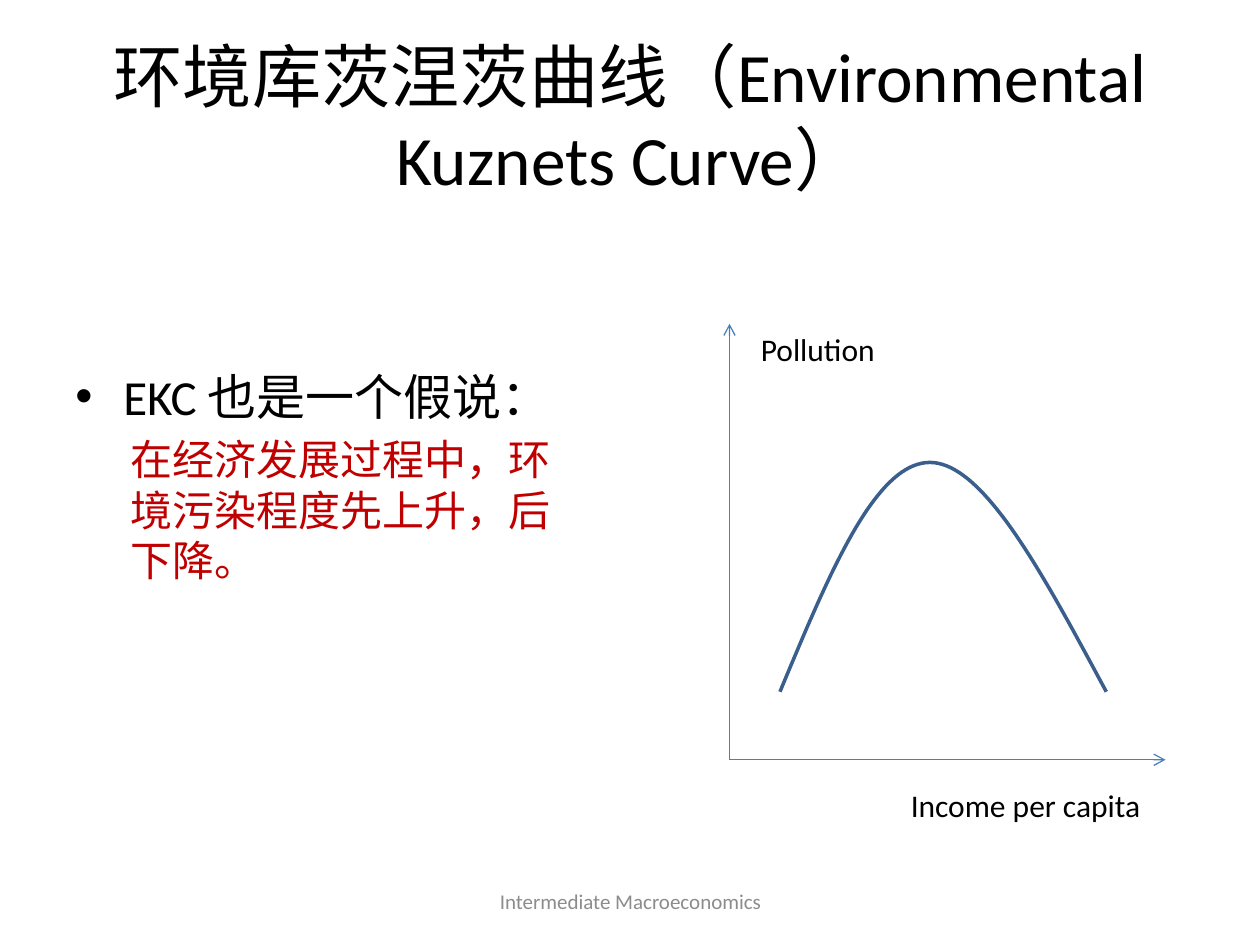
from dataclasses import dataclass

from lxml.etree import SubElement
from pptx import Presentation
from pptx.dml.color import RGBColor
from pptx.enum.shapes import MSO_CONNECTOR
from pptx.enum.text import MSO_ANCHOR, PP_ALIGN
from pptx.oxml.ns import qn
from pptx.util import Inches, Pt


@dataclass(frozen=True)
class Theme:
    font: str = "Calibri"
    ink: str = "000000"
    emphasis: str = "C00000"
    muted: str = "8C8C8C"
    axis: str = "4B7EBC"
    curve: str = "3A5F8C"
    title_size: float = 39.6
    lead_size: int = 28
    detail_size: int = 24
    label_size: int = 18
    footer_size: int = 12


theme = Theme()
presentation = Presentation()
presentation.slide_width = Inches(10)
presentation.slide_height = Inches(7.5)
slide = presentation.slides.add_slide(presentation.slide_layouts[6])
column = presentation.slide_width // 100
row = presentation.slide_height // 75


def write_text(text, *, frame, size, color=theme.ink, align=PP_ALIGN.LEFT, margin=0, indent=0, bullet=None, before=0):
    paragraph = frame.paragraphs[0]
    if paragraph.runs:
        paragraph = frame.add_paragraph()
    paragraph.alignment = align
    paragraph.space_before = Pt(before)
    run = paragraph.add_run()
    run.text = text
    run.font.name = theme.font
    run.font.size = Pt(size)
    run.font.color.rgb = RGBColor.from_string(color)
    properties = paragraph._p.get_or_add_pPr()
    properties.set("marL", str(int(margin * column)))
    properties.set("indent", str(int(indent * column)))
    if bullet:
        SubElement(properties, qn("a:buFont")).set("typeface", "Arial")
        SubElement(properties, qn("a:buChar")).set("char", bullet)


def add_frame(left, top, width, height, anchor=MSO_ANCHOR.TOP):
    box = slide.shapes.add_textbox(
        int(left * column), int(top * row), int(width * column), int(height * row)
    )
    box.text_frame.word_wrap = True
    box.text_frame.vertical_anchor = anchor
    return box.text_frame


title = add_frame(5, 3, 90, 12.5, MSO_ANCHOR.MIDDLE)
write_text("环境库茨涅茨曲线（Environmental Kuznets Curve）", frame=title, size=theme.title_size, align=PP_ALIGN.CENTER)

body = add_frame(5, 28.6, 41.1, 38.4)
write_text("EKC 也是一个假说：", frame=body, size=theme.lead_size, margin=3.8, indent=-3.8, bullet="•")
write_text(
    "在经济发展过程中，环境污染程度先上升，后下降。",
    frame=body, size=theme.detail_size, color=theme.emphasis, margin=4.4, before=theme.detail_size * 0.2,
)

footer = add_frame(34.2, 69.5, 31.7, 4, MSO_ANCHOR.MIDDLE)
write_text("Intermediate Macroeconomics", frame=footer, size=theme.footer_size, color=theme.muted, align=PP_ALIGN.CENTER)

origin_x, origin_y, axis_length = 57.9, 60.3, 34.6
for end_x, end_y in ((origin_x + axis_length, origin_y), (origin_x, origin_y - axis_length)):
    axis = slide.shapes.add_connector(
        MSO_CONNECTOR.STRAIGHT,
        int(origin_x * column), int(origin_y * row), int(end_x * column), int(end_y * row),
    )
    axis.line.color.rgb = RGBColor.from_string(theme.axis)
    axis.line.width = Pt(0.75)
    SubElement(axis.line._get_or_add_ln(), qn("a:tailEnd")).set("type", "arrow")
    SubElement(axis._element.spPr, qn("a:effectLst"))

curve_segments = (
    ((61.9, 54.9), (65.7, 45.8), (69.4, 36.7), (73.8, 36.7)),
    ((73.8, 36.7), (78.1, 36.7), (82.9, 45.8), (87.8, 54.9)),
)
steps = 40
curve_points = []
for segment in curve_segments:
    for step in range(1, steps + 1):
        t = step / steps
        weights = ((1 - t) ** 3, 3 * t * (1 - t) ** 2, 3 * t**2 * (1 - t), t**3)
        x, y = (sum(weight * value for weight, value in zip(weights, values)) for values in zip(*segment))
        curve_points.append((int(x * column), int(y * row)))

start_x, start_y = curve_segments[0][0]
builder = slide.shapes.build_freeform(int(start_x * column), int(start_y * row))
builder.add_line_segments(curve_points, close=False)
curve = builder.convert_to_shape()
curve.shadow.inherit = False
curve.fill.background()
curve.line.color.rgb = RGBColor.from_string(theme.curve)
curve.line.width = Pt(2)

for label, left, top, width in (("Income per capita", 71.3, 61.9, 25.2), ("Pollution", 59.4, 25.7, 19.7)):
    write_text(label, frame=add_frame(left, top, width, 4), size=theme.label_size)

presentation.save("out.pptx")
